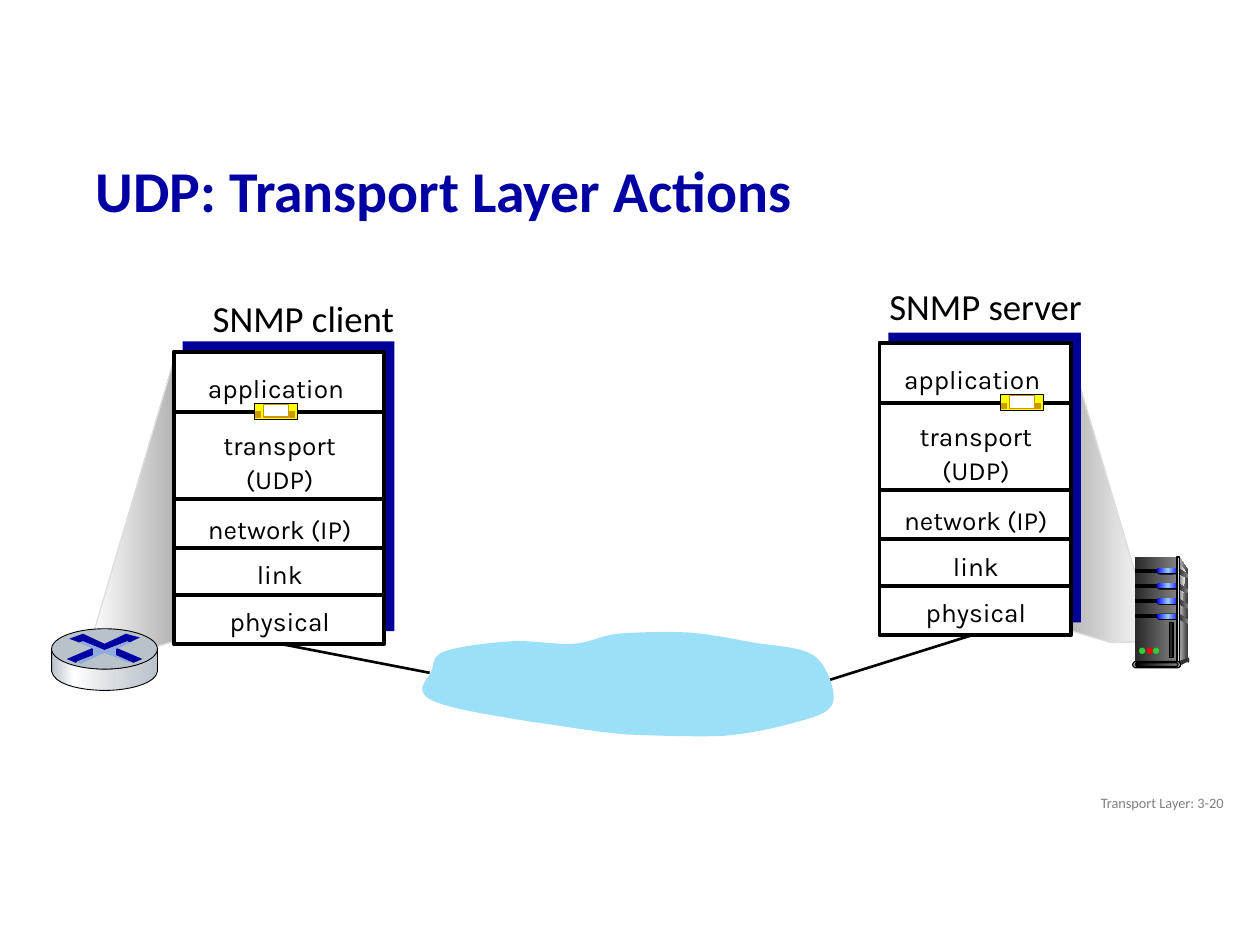
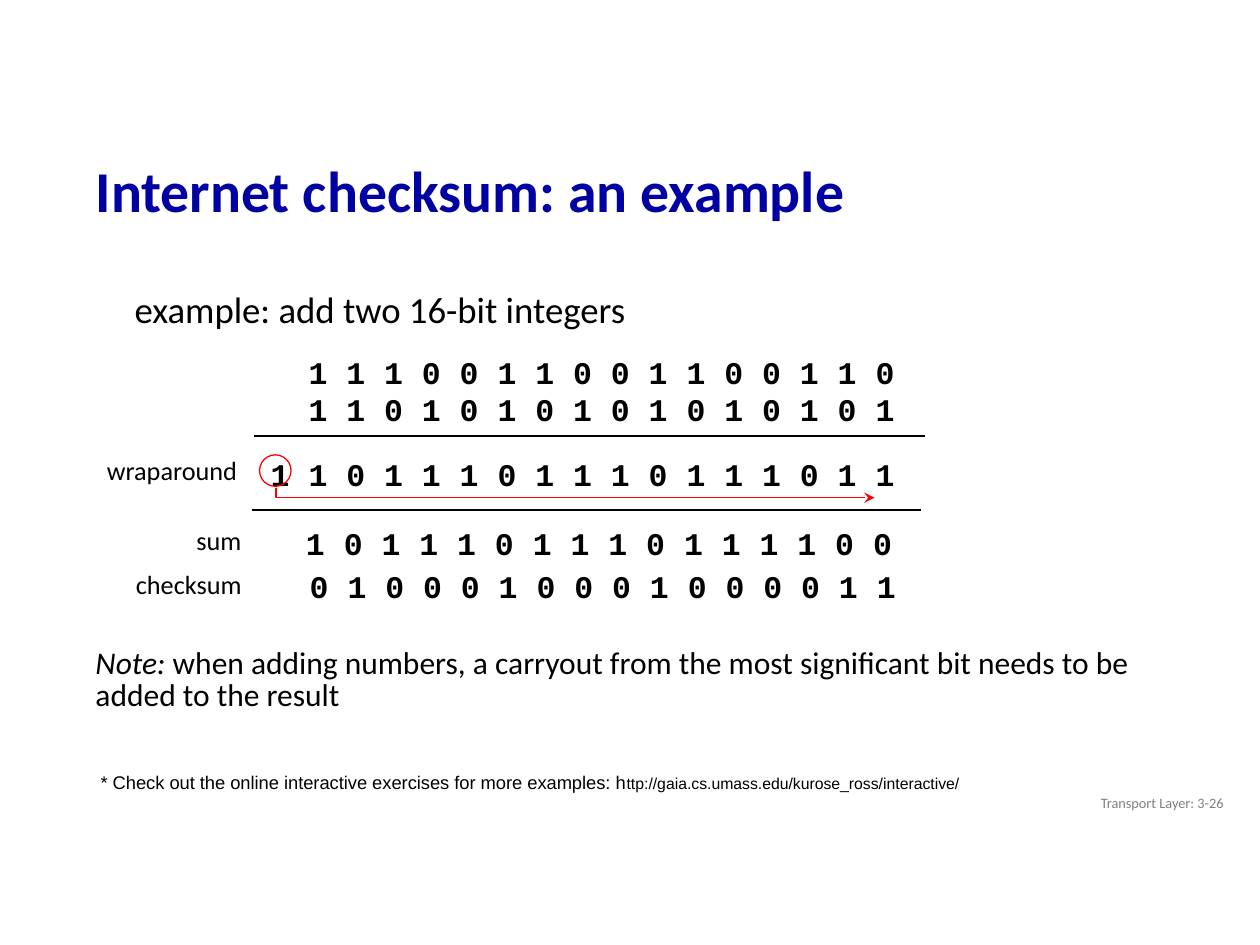
from dataclasses import dataclass
from typing import Optional, Union

import pptx
import pptx.dml.color
import pptx.enum.shapes
import pptx.enum.text
import pptx.oxml.ns
import pptx.util
from lxml import etree

Cm = pptx.util.Cm
Pt = pptx.util.Pt
Kind = pptx.enum.shapes.MSO_SHAPE
Align = pptx.enum.text.PP_ALIGN
Anchor = pptx.enum.text.MSO_ANCHOR
qn = pptx.oxml.ns.qn

Fill = Union[str, list, None]
Points = list[tuple[float, ...]]

HUES = {
    "black": "000000", "white": "FFFFFF", "title": "0000A3", "foot": "808080",
    "shade": "000099", "cloud": "9CDFF9", "red": "FF0000", "green": "33CC33",
    "coal": "292929", "dark": "333333", "gray": "808080", "pale": "DDDDDD",
    "mist": "B2B2B2", "snow": "F8F8F8", "blue": "0000FF", "sky": "99CCFF",
    "steel": "B8C2C9", "silver": "D6DCE0", "glow": "8FAADC",
    "yellow": "FFFF00", "gold": "CC9900",
}
METAL = [(0, "coal"), (100, "gray")]
LIGHT = [(0, "blue"), (50, "sky"), (100, "blue")]


@dataclass
class Part:
    kind: Kind
    box: tuple[float, float, float, float]
    fill: Fill = None
    line: Optional[str] = None
    width: float = 0.75


@dataclass
class Label:
    text: str
    box: tuple[float, float, float, float]
    size: float
    font: str = "Calibri"
    hue: str = "black"
    bold: bool = False
    align: Align = Align.LEFT
    pitch: float = 1.0
    wrap: bool = False
    anchor: Anchor = Anchor.TOP


@dataclass
class Host:
    name: str
    left: float
    top: float
    width: float
    head: tuple[float, float, float, float]
    packet: float


def inch(value: float) -> int:
    """Turn the inch grid of the slide into a length."""
    return Cm(value * 2.54)


def rgb(name: str) -> pptx.dml.color.RGBColor:
    return pptx.dml.color.RGBColor.from_string(HUES[name])


def paint(shape, fill: Fill, line: Optional[str], width: float) -> None:
    shape.shadow.inherit = False
    if fill is None:
        shape.fill.background()
    elif isinstance(fill, str):
        shape.fill.solid()
        shape.fill.fore_color.rgb = rgb(fill)
    else:
        shape.fill.gradient()
        shape.fill.gradient_angle = 0
        stops = shape._element.spPr.find(qn("a:gradFill")).find(qn("a:gsLst"))
        for old in list(stops):
            stops.remove(old)
        for spot, name in fill:
            stop = etree.SubElement(stops, qn("a:gs"), pos=str(spot * 1000))
            etree.SubElement(stop, qn("a:srgbClr"), val=HUES[name])
    if line:
        shape.line.color.rgb = rgb(line)
        shape.line.width = Pt(width)
    else:
        shape.line.fill.background()


def draw(slide, part: Part) -> None:
    shape = slide.shapes.add_shape(part.kind, *map(inch, part.box))
    if part.kind == Kind.ROUNDED_RECTANGLE:
        shape.adjustments[0] = 0.5
    paint(shape, part.fill, part.line, part.width)


def flat(points: Points, steps: int = 10) -> Points:
    """Keep the pairs and turn each six-number cubic curve into short lines."""
    out = [points[0]]
    for item in points[1:]:
        if len(item) == 2:
            out.append(item)
            continue
        x, y = out[-1]
        a, b, c, d, e, f = item
        for step in range(1, steps + 1):
            t = step / steps
            u = 1 - t
            out.append((u**3 * x + 3 * u * u * t * a + 3 * u * t * t * c + t**3 * e,
                        u**3 * y + 3 * u * u * t * b + 3 * u * t * t * d + t**3 * f))
    return out


def trace(slide, points: Points, fill: Fill, line: Optional[str] = None,
          width: float = 0.75, close: bool = True):
    spots = [(inch(x), inch(y)) for x, y in flat(points)]
    pen = slide.shapes.build_freeform(*spots[0], scale=1.0)
    pen.add_line_segments(spots[1:], close=close)
    shape = pen.convert_to_shape()
    paint(shape, fill, line, width)
    return shape


def rule(slide, x1: float, y1: float, x2: float, y2: float, width: float) -> None:
    line = slide.shapes.add_connector(
        pptx.enum.shapes.MSO_CONNECTOR.STRAIGHT, *map(inch, (x1, y1, x2, y2)))
    line.line.color.rgb = rgb("black")
    line.line.width = Pt(width)
    etree.SubElement(line._element.spPr, qn("a:effectLst"))


def style(run, label: Label) -> None:
    run.font.name = label.font
    run.font.size = Pt(label.size)
    run.font.bold = label.bold
    run.font.color.rgb = rgb(label.hue)


def write(slide, label: Label, shape=None):
    """Fill a new text box, or the given placeholder."""
    if shape is None:
        shape = slide.shapes.add_textbox(*map(inch, label.box))
    else:
        shape.left, shape.top, shape.width, shape.height = map(inch, label.box)
    frame = shape.text_frame
    frame.text = label.text
    frame.word_wrap = label.wrap
    frame.auto_size = pptx.enum.text.MSO_AUTO_SIZE.NONE
    frame.vertical_anchor = label.anchor
    for para in frame.paragraphs:
        para.alignment = label.align
        para.line_spacing = label.pitch
        for run in para.runs:
            style(run, label)
    return shape


def start(deck, title: str, page: int):
    slide = deck.slides.add_slide(deck.slide_layouts[5])
    write(slide, Label(title, (0.66, 1.17, 9.1, 0.73), 33, hue="title", bold=True,
                       pitch=0.9, wrap=True, anchor=Anchor.MIDDLE), slide.shapes.title)
    write(slide, Label(f"Transport Layer: 3-{page}", (7.56, 6.22, 2.25, 0.3), 8.2,
                       hue="foot", align=Align.RIGHT, wrap=True, anchor=Anchor.MIDDLE))
    return slide


def tower(slide) -> None:
    rect, pill, dot = Kind.RECTANGLE, Kind.ROUNDED_RECTANGLE, Kind.OVAL
    trace(slide, [(9.36, 4.42), (9.43, 4.53), (9.43, 5.22), (9.34, 5.26)],
          [(0, "pale"), (100, "dark")])
    draw(slide, Part(rect, (9.01, 4.42, 0.33, 0.84), METAL))
    trace(slide, [(9.36, 4.47), (9.36, 4.47, 9.37, 4.48, 9.41, 4.54),
                  (9.36, 4.85, 9.37, 5.25, 9.36, 5.24)], [(0, "gray"), (100, "snow")])
    for row in range(4):
        y = 4.51 + 0.12 * row
        draw(slide, Part(rect, (9.01, y + 0.01, 0.19, 0.02), "black", "black"))
        draw(slide, Part(pill, (9.18, y, 0.18, 0.05), "black"))
        draw(slide, Part(pill, (9.18, y, 0.18, 0.04), LIGHT))
        trace(slide, [(9.35, y), (9.43, y + 0.05), (9.43, y + 0.08), (9.35, y + 0.04)],
              METAL)
    draw(slide, Part(rect, (9.34, 4.42, 0.02, 0.84),
                     [(0, "dark"), (50, "pale"), (100, "dark")], "black"))
    draw(slide, Part(dot, (9.42, 5.22, 0.02, 0.04), "dark"))
    trace(slide, [(9.35, 5.25), (9.35, 5.29), (9.43, 5.25), (9.43, 5.22)], "dark")
    draw(slide, Part(pill, (8.99, 5.25, 0.38, 0.05), "pale", "black"))
    draw(slide, Part(pill, (9.01, 5.26, 0.34, 0.03),
                     [(0, "black"), (100, "gray")], "black"))
    for x, hue in ((9.04, "green"), (9.1, "red"), (9.15, "green")):
        draw(slide, Part(dot, (x, 5.14, 0.05, 0.05), hue))
    draw(slide, Part(rect, (9.28, 4.94, 0.03, 0.28), "coal", "black"))


def router(slide) -> None:
    trace(slide, [(1.25, 5.16), (1.25, 5.33), (1.23, 5.44, 0.98, 5.48, 0.84, 5.48),
                  (0.69, 5.48, 0.44, 5.45, 0.41, 5.33), (0.41, 5.16),
                  (0.45, 5.26, 0.69, 5.31, 0.83, 5.31),
                  (0.97, 5.31, 1.21, 5.27, 1.25, 5.16)],
          [(0, "steel"), (21, "white"), (60, "silver"), (100, "steel")], "black", 0.5)
    draw(slide, Part(Kind.OVAL, (0.41, 4.99, 0.84, 0.32), "steel", "black", 0.5))
    trace(slide, [(1, 5.03), (1.11, 5.06), (1.03, 5.1), (1.01, 5.09), (0.83, 5.16),
                  (0.66, 5.09), (0.63, 5.1), (0.55, 5.07), (0.66, 5.03), (0.83, 5.11)],
          "title")
    wing = [(0.09, 5.14), (0.3, 5.23), (0.23, 5.26), (0.09, 5.2)]
    for side in (1, -1):
        trace(slide, [(0.83 + side * x, y) for x, y in wing], "title")
    trace(slide, [(0.63, 5.1), (0.66, 5.09), (0.83, 5.16), (1.01, 5.09), (1.04, 5.1),
                  (0.92, 5.15), (0.92, 5.2), (1.05, 5.26), (1.02, 5.26), (0.83, 5.18),
                  (0.64, 5.27), (0.61, 5.25), (0.74, 5.2), (0.74, 5.15)], "glow")


def stack(slide, host: Host) -> None:
    """Draw the five protocol layers of a host."""
    x, y, w = host.left, host.top, host.width
    write(slide, Label(host.name, host.head, 21))
    draw(slide, Part(Kind.RECTANGLE, (x + 0.07, y - 0.08, w + 0.01, 2.3), "shade"))
    draw(slide, Part(Kind.RECTANGLE, (x, y, w, 2.32), "white", "black", 2.25))
    for drop in (0.48, 1.17, 1.56, 1.93):
        rule(slide, x + 0.01, y + drop, x + w, y + drop, 2.25)
    layers = [("application", 0.06, 0.09, 0.38), ("transport\n(UDP)", 0.09, 0.54, 0.66),
              ("network (IP)", 0.09, 1.21, 0.38), ("link", 0.09, 1.57, 0.38),
              ("physical", 0.09, 1.94, 0.38)]
    for text, dx, dy, high in layers:
        write(slide, Label(text, (x + dx, y + dy, w - 0.17, high), 15, "Karla",
                           align=Align.CENTER, pitch=1.1, wrap=True))


def packet(slide, x: float, y: float) -> None:
    draw(slide, Part(Kind.RECTANGLE, (x, y, 0.34, 0.13), "yellow", "black"))
    draw(slide, Part(Kind.RECTANGLE, (x + 0.07, y + 0.01, 0.2, 0.1), "white", "gold"))
    for dx in (0.01, 0.28):
        draw(slide, Part(Kind.RECTANGLE, (x + dx, y + 0.07, 0.04, 0.04), "gold", "gold"))


def actions(deck) -> None:
    slide = start(deck, "UDP: Transport Layer Actions", 20)
    trace(slide, [(9.17, 5.09), (8.47, 2.72), (8.44, 4.99), (8.82, 5.1)],
          [(0, "mist"), (100, "white")], "pale")
    trace(slide, [(0.7, 5.17), (1.4, 2.79), (1.38, 5.09), (1.06, 5.19)],
          [(0, "white"), (100, "mist")], "pale")
    tower(slide)
    rule(slide, 7.75, 5.03, 6.54, 5.41, 1.5)
    rule(slide, 2.12, 5.09, 3.41, 5.34, 1.5)
    trace(slide, [
        (4.9, 5.03), (4.75, 5.05, 4.69, 5.1, 4.55, 5.11),
        (4.41, 5.12, 4.23, 5.08, 4.06, 5.09), (3.89, 5.1, 3.64, 5.13, 3.53, 5.17),
        (3.42, 5.21, 3.45, 5.28, 3.42, 5.34), (3.39, 5.39, 3.33, 5.45, 3.36, 5.5),
        (3.38, 5.54, 3.43, 5.57, 3.58, 5.61), (3.72, 5.65, 3.99, 5.69, 4.22, 5.73),
        (4.46, 5.76, 4.72, 5.81, 4.98, 5.83), (5.23, 5.84, 5.53, 5.85, 5.75, 5.84),
        (5.97, 5.82, 6.14, 5.78, 6.29, 5.74), (6.43, 5.7, 6.58, 5.67, 6.61, 5.58),
        (6.64, 5.5, 6.57, 5.29, 6.47, 5.21), (6.36, 5.13, 6.15, 5.13, 5.98, 5.1),
        (5.81, 5.07, 5.63, 5.03, 5.45, 5.02), (5.27, 5.01, 5.05, 5.02, 4.9, 5.03),
    ], "cloud")
    for host in (Host("SNMP server", 6.98, 2.72, 1.52, (6.96, 2.2, 1.75, 0.45), 7.94),
                 Host("SNMP client", 1.38, 2.79, 1.67, (1.59, 2.3, 1.66, 0.45), 2.02)):
        stack(slide, host)
        packet(slide, host.packet, host.top + 0.41)
    router(slide)


def checksum(deck) -> None:
    slide = start(deck, "Internet checksum: an example", 26)
    write(slide, Label("example: add two 16-bit integers", (0.97, 2.12, 6.41, 2.25), 21,
                       pitch=1.3, wrap=True))
    for text, x, y, wide in (("wraparound", 0.75, 3.56, 1.24), ("sum", 1.46, 4.11, 0.56),
                             ("checksum", 0.98, 4.46, 1.05)):
        write(slide, Label(text, (x, y, wide, 0.35), 15))
    for bits, x, y in (("1110011001100110", 2.35, 2.75), ("1101010101010101", 2.35, 3.05),
                       ("11011101110111011", 2.05, 3.56), ("1011101110111100", 2.33, 4.11),
                       ("0100010001000011", 2.36, 4.45)):
        wide = 0.3 * len(bits) + 0.08
        write(slide, Label(" ".join(bits), (x, y, wide, 0.4), 18, "Courier New", bold=True))
    rule(slide, 7.34, 3.46, 2.02, 3.46, 1)
    rule(slide, 7.31, 4.05, 2, 4.05, 1)
    draw(slide, Part(Kind.OVAL, (2.06, 3.61, 0.25, 0.25), None, "red"))
    carry = trace(slide, [(2.19, 3.87), (2.19, 3.95), (6.94, 3.95)], None, "red", close=False)
    etree.SubElement(carry._element.spPr.find(qn("a:ln")), qn("a:tailEnd"), type="stealth")

    look = Label("Note:", (0.66, 5.1, 8.5, 0.92), 18, pitch=0.85, wrap=True)
    para = write(slide, look).text_frame.paragraphs[0]
    para.runs[0].font.italic = True
    rest = para.add_run()
    rest.text = (" when adding numbers, a carryout from the most significant bit"
                 " needs to be added to the result")
    style(rest, look)

    look = Label("* Check out the online interactive exercises for more examples: h",
                 (0.7, 6.07, 8.08, 0.28), 10.5, "Arial", wrap=True)
    link = write(slide, look).text_frame.paragraphs[0].add_run()
    link.text = "ttp://gaia.cs.umass.edu/kurose_ross/interactive/"
    style(link, look)
    link.font.size = Pt(9)


def main() -> None:
    deck = pptx.Presentation()
    deck.slide_width, deck.slide_height = Cm(25.4), Cm(19.05)
    actions(deck)
    checksum(deck)
    deck.save("out.pptx")


if __name__ == "__main__":
    main()
